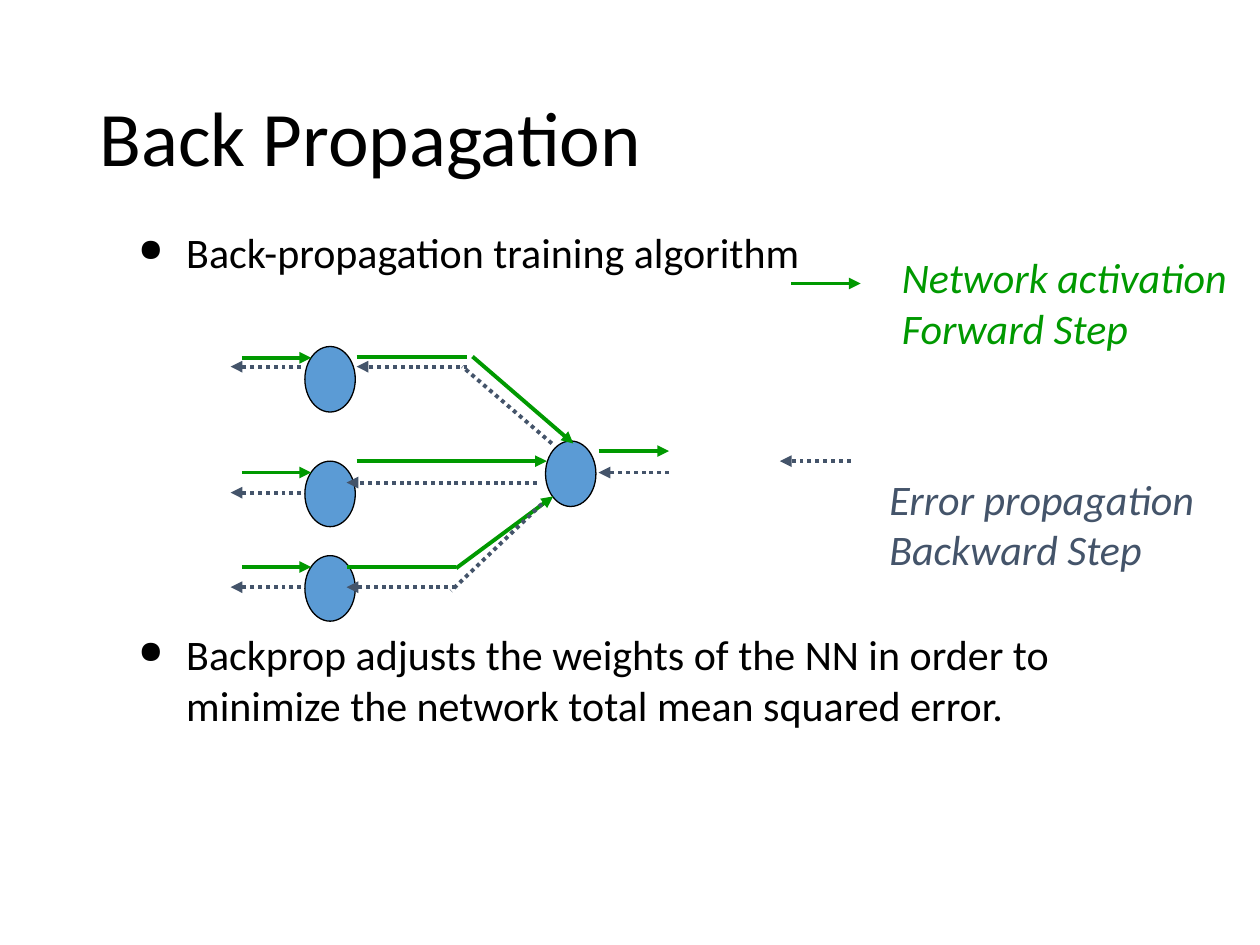
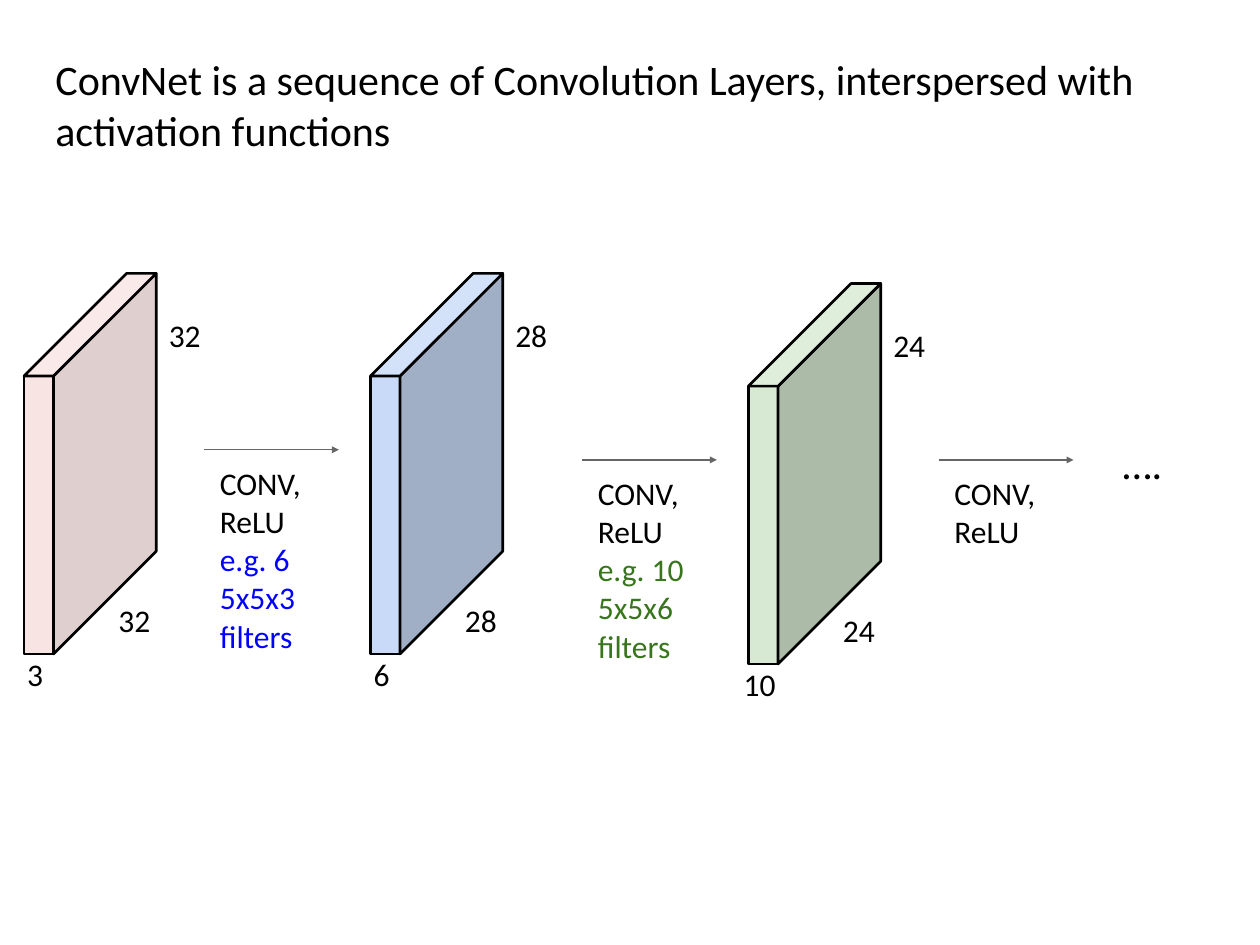
from dataclasses import dataclass

from lxml.etree import SubElement
from pptx import Presentation
from pptx.dml.color import RGBColor
from pptx.enum.dml import MSO_LINE
from pptx.enum.shapes import MSO_CONNECTOR, MSO_SHAPE
from pptx.enum.text import MSO_ANCHOR, PP_ALIGN
from pptx.oxml.ns import qn
from pptx.util import Inches, Pt

OVAL = MSO_SHAPE.OVAL
LINE = MSO_CONNECTOR.STRAIGHT
DOTS = MSO_LINE.ROUND_DOT
TOP, MID = MSO_ANCHOR.TOP, MSO_ANCHOR.MIDDLE
LEFT, MIDDLE = PP_ALIGN.LEFT, PP_ALIGN.CENTER

# The slide is a grid of 100 columns by 75 rows
COLS, ROWS = 100, 75
CELL = Inches(0.1)


@dataclass(frozen=True)
class Theme:
    font: str = "Calibri"
    head: int = 44
    body: int = 24
    label: int = 18
    ink: str = "000000"
    node: str = "5B9BD5"
    ahead: str = "009900"
    back: str = "44546A"
    arrow: str = "666666"
    blue: str = "0000FF"
    green: str = "38751C"
    thick: float = 2.25
    edge: float = 1.5
    thin: float = 0.75
    # Front, side and top colours of each block
    pink_box: tuple = ("F4CCCC", "C3A3A3", "F6D6D6")
    blue_box: tuple = ("C8DAF7", "A0AEC6", "D3E1F9")
    green_box: tuple = ("D8E9D3", "ACBAA8", "DFEDDB")


T = Theme()


def rgb(code):
    return RGBColor.from_string(code)


def grid(*cells):
    return [round(cell * CELL) for cell in cells]


def text(slide, box, *paras, size=T.body, color=T.ink, italic=False,
         bullet=False, pad=(1, 0.5), anchor=TOP, align=LEFT, gap=1.0):
    """Write paragraphs, each a string or a (string, colour) pair."""
    frame = slide.shapes.add_textbox(*grid(*box)).text_frame
    frame.word_wrap = True
    frame.vertical_anchor = anchor
    frame.margin_left, frame.margin_top = grid(*pad)
    frame.margin_right, frame.margin_bottom = grid(*pad)
    for i, para in enumerate(paras):
        words, tint = (para, color) if isinstance(para, str) else para
        p = frame.add_paragraph() if i else frame.paragraphs[0]
        if bullet:
            props = p._p.get_or_add_pPr()
            props.set("marL", str(Inches(0.38)))
            props.set("indent", str(-Inches(0.38)))
            hue = SubElement(props, qn("a:buClr"))
            SubElement(hue, qn("a:srgbClr"), val=T.ink)
            SubElement(props, qn("a:buSzPct"), val="75000")
            SubElement(props, qn("a:buChar"), char="●")
        p.alignment, p.line_spacing = align, gap
        run = p.add_run()
        run.text = words
        run.font.name, run.font.size = T.font, Pt(size)
        run.font.italic = italic
        run.font.color.rgb = rgb(tint)


def title(slide, box, words, **style):
    text(slide, box, words, anchor=MID, **style)


def link(slide, ends, color, width=T.thick, head=True, dots=False, tip="med"):
    """Draw a straight line, with an arrowhead at its end if asked."""
    wire = slide.shapes.add_connector(LINE, *grid(*ends))
    wire.line.color.rgb = rgb(color)
    wire.line.width = Pt(width)
    if dots:
        wire.line.dash_style = DOTS
    if head:
        SubElement(wire.line._get_or_add_ln(), qn("a:tailEnd"),
                   type="triangle", w=tip, len=tip)
    SubElement(wire._element.spPr, qn("a:effectLst"))


def shift(ends, x, y):
    return ends[0] + x, ends[1] + y, ends[2] + x, ends[3] + y


# ---- Slide 1: network ----

def node(slide, x, y):
    dot = slide.shapes.add_shape(OVAL, *grid(x, y, 4, 5.2))
    dot.shadow.inherit = False
    dot.fill.solid()
    dot.fill.fore_color.rgb = rgb(T.node)
    dot.line.color.rgb = rgb(T.ink)
    dot.line.width = Pt(T.thin)


def network(slide, x, y):
    # Input nodes: top row and row of the backward arrow
    inputs = ((0, 1.6), (9.1, 11.6), (16.6, 19.1))
    for row, _ in inputs:
        node(slide, x + 5.9, y + row)
    node(slide, x + 25, y + 7.5)

    # Each wire: its ends, and whether it has a head
    ahead = [((0.9, row + 0.9, 6.4, row + 0.9), True) for row, _ in inputs]
    ahead += [
        ((10, 0.8, 18.8, 0.8), False),
        ((19.2, 0.8, 27.2, 7.7), True),
        ((10, 9.1, 25.1, 9.1), True),
        ((9.2, 17.5, 17.9, 17.5), False),
        ((17.9, 17.6, 25.6, 11.9), True),
        ((29.2, 8.3, 34.8, 8.3), True),
    ]
    back = [((5.6, row, 0, row), True) for _, row in inputs]
    back += [
        ((34.8, 10, 29.2, 10), True),
        ((25.5, 7.7, 18.4, 1.6), False),
        ((18.8, 1.6, 10, 1.6), True),
        ((24.3, 10.8, 9.2, 10.8), True),
        ((24.7, 12.5, 17.5, 19.4), False),
        ((17.9, 19.1, 9.2, 19.1), True),
    ]
    for wires, color, dots in ((ahead, T.ahead, False), (back, T.back, True)):
        for ends, head in wires:
            link(slide, shift(ends, x, y), color, head=head, dots=dots)


def legend(slide, box, ends, lines, color, dots=False):
    link(slide, shift(ends, *box[:2]), color, dots=dots)
    text(slide, box, *lines, color=color, italic=True)


def backprop(slide):
    title(slide, (6.9, 4, 86.2, 14.5), "Back Propagation",
          size=T.head, gap=0.9)
    points = ((17.5, "Back-propagation training algorithm"),
              (49.4, "Backprop adjusts the weights of the NN in order to "
                     "minimize the network total mean squared error."))
    for row, words in points:
        text(slide, (10, row, 86.7, 9), words, bullet=True)
    network(slide, 18.3, 27.5)
    legend(slide, (70.6, 19.5, 29.4, 9), (-7.8, 3, -2.3, 3),
           ("Network activation", "Forward Step"), T.ahead)
    legend(slide, (69.6, 37.05, 27, 9), (-2.1, -0.45, -7.7, -0.45),
           ("Error propagation", "Backward Step"), T.back, dots=True)


# ---- Slide 2: layers ----

def face(slide, points, color, alpha):
    (x, y), *rest = points
    pen = slide.shapes.build_freeform(*grid(x, y))
    pen.add_line_segments([grid(*point) for point in rest], close=True)
    side = pen.convert_to_shape()
    side.shadow.inherit = False
    side.fill.solid()
    side.fill.fore_color.rgb = rgb(color)
    if alpha < 100:
        tint = side._element.spPr.find(qn("a:solidFill"))[0]
        SubElement(tint, qn("a:alpha"), val=str(alpha * 1000))
    side.line.color.rgb = rgb(T.ink)
    side.line.width = Pt(T.edge)


def block(slide, x, y, depth, size, colors, alpha=100):
    # Thickness, slant and height of the slab
    wide, lean, tall = 2.35, 8.15, 22.05
    left, mid, right = x, x + wide, x + wide + lean
    high, low = y + lean, y + lean + tall
    front = (left, high), (mid, high), (mid, low), (left, low)
    side = (mid, high), (right, y), (right, y + tall), (mid, low)
    lid = (left, high), (left + lean, y), (right, y), (mid, high)
    for points, color in zip((front, side, lid), colors):
        face(slide, points, color, alpha)
    # Dimensions
    marks = ((7.5, 25.9, size, LEFT), (11.5, 3.3, size, LEFT),
             (-1.1, 30.2, depth, MIDDLE))
    for dx, dy, words, align in marks:
        text(slide, (x + dx, y + dy, 4, 3.3), words, size=T.label,
             pad=(0, 0.1), align=align)


def step(slide, x, y, *notes):
    link(slide, (x, y, x + 10.7, y), T.arrow, width=T.thin, tip="sm")
    text(slide, (x + 1.25, y + 1, 8.2, 15.4), "CONV, ReLU", *notes,
         size=T.label, pad=(0, 0.1), gap=1.01)


def convnet(slide):
    title(slide, (4.3, 4.2, 91, 8.1),
          "ConvNet is a sequence of Convolution Layers, interspersed with "
          "activation functions", pad=(0.1, 0.1), gap=1.01)
    block(slide, 1.9, 21.7, "3", "32", T.pink_box, alpha=52)
    step(slide, 16.2, 35.7, ("e.g. 6 5x5x3 filters", T.blue))
    block(slide, 29.4, 21.7, "6", "28", T.blue_box)
    step(slide, 46.2, 36.5, ("e.g. 10 5x5x6 filters", T.green))
    block(slide, 59.4, 22.5, "10", "24", T.green_box)
    step(slide, 74.5, 36.5)
    text(slide, (89.1, 34.6, 4.5, 4.3), "….", pad=(0, 0.1))


def main():
    deck = Presentation()
    deck.slide_width, deck.slide_height = grid(COLS, ROWS)
    blank = deck.slide_layouts[6]
    for draw in (backprop, convnet):
        draw(deck.slides.add_slide(blank))
    deck.save("out.pptx")


if __name__ == "__main__":
    main()
